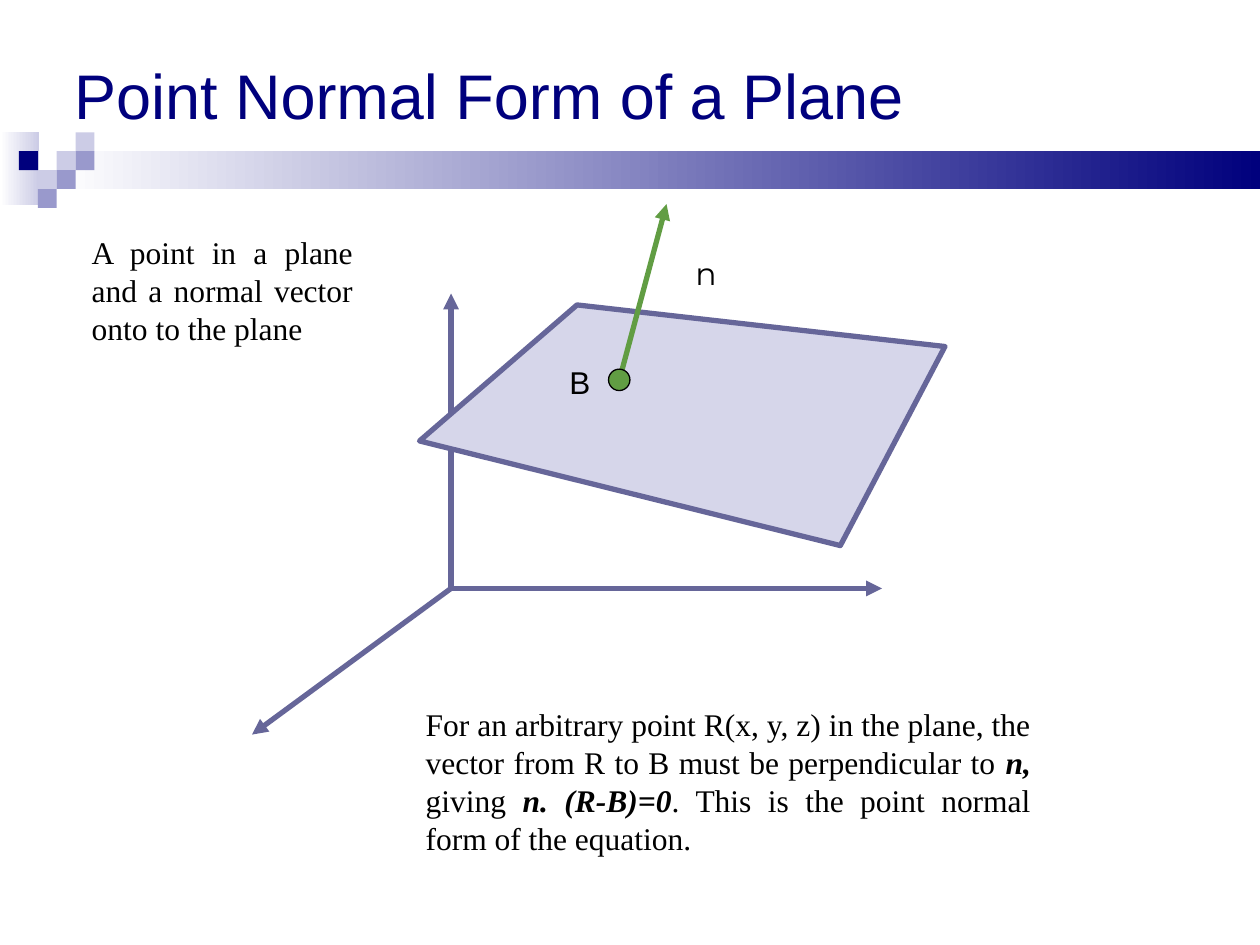
from lxml import etree
from pptx import Presentation
from pptx.dml.color import RGBColor
from pptx.enum import shapes, text
from pptx.oxml import ns
from pptx.util import Inches, Pt

NAVY = RGBColor(0x00, 0x00, 0x7D)
LILAC = RGBColor(0x99, 0x99, 0xCC)
PALE = RGBColor(0xCC, 0xCC, 0xE6)
WHITE = RGBColor(0xFF, 0xFF, 0xFF)
BLACK = RGBColor(0x00, 0x00, 0x00)
SLATE = RGBColor(0x66, 0x66, 0x99)
MIST = RGBColor(0xD6, 0xD6, 0xEA)
GREEN = RGBColor(0x61, 0x9D, 0x43)

SERIF = "Times New Roman"
LEFT, JUST = text.PP_ALIGN.LEFT, text.PP_ALIGN.JUSTIFY
TOP, MIDDLE = text.MSO_ANCHOR.TOP, text.MSO_ANCHOR.MIDDLE

# Fading bands: box, end colour
BANDS = [((0, 1.05, 0.31, 0.58), PALE), ((0.45, 1.2, 9.55, 0.3), NAVY)]

# Mosaic squares: column, row, colour
SIDE, EDGE, HEAD = 0.15, 0.15, 1.05
TILES = [(2, 1, PALE), (3, 0, PALE), (3, 1, LILAC), (1, 2, PALE),
         (0, 1, NAVY), (2, 2, LILAC), (1, 3, LILAC)]

ORIGIN = (3.58, 4.67)
AXES = [(3.58, 2.33), (2, 5.83), (7, 4.67)]
PLANE = [(3.33, 3.5), (4.58, 2.42), (7.5, 2.75), (6.67, 4.33)]
NORMAL = ((4.92, 3), (5.29, 1.62))
POINT = (4.83, 2.93, 0.17, 0.17)

# Texts: box, runs as (words, strong), font, size, colour, alignment, anchor
TEXTS = [
    ((0.49, 0, 9, 1.5), [("Point Normal Form of a Plane", False)],
     "Arial", 36, NAVY, LEFT, MIDDLE),
    ((4.42, 2.83, 0.33, 0.4), [("B", False)], "Arial", 18, BLACK, LEFT, TOP),
    ((5.42, 1.97, 0.42, 0.4), [("n", False)],
     "Montserrat", 18, BLACK, LEFT, TOP),
    ((0.63, 1.8, 2.27, 1),
     [("A point in a plane and a normal vector onto to the plane", False)],
     SERIF, 18, BLACK, JUST, TOP),
    ((3.28, 5.55, 5, 1.3),
     [("For an arbitrary point R(x, y, z) in the plane, the vector from R "
       "to B must be perpendicular to ", False),
      ("n, ", True), ("giving", False), (" n. (R-B)=0", True),
      (". This is the point normal form of the equation.", False)],
     SERIF, 18, BLACK, JUST, TOP),
]


def add_shape(kind, box):
    shape = slide.shapes.add_shape(kind, *map(Inches, box))
    shape.shadow.inherit = False
    shape.line.fill.background()
    return shape


def paint(shape, fill, line=None, width=0):
    shape.fill.solid()
    shape.fill.fore_color.rgb = fill
    if line is not None:
        shape.line.color.rgb = line
        shape.line.width = Pt(width)


def add_band(box, end):
    fill = add_shape(shapes.MSO_SHAPE.RECTANGLE, box).fill
    fill.gradient()
    fill.gradient_angle = 0
    for stop, color in zip(fill.gradient_stops, (WHITE, end)):
        stop.color.rgb = color


def add_arrow(start, end, color):
    arrow = slide.shapes.add_connector(
        shapes.MSO_CONNECTOR.STRAIGHT, *map(Inches, start + end))
    arrow.line.color.rgb = color
    arrow.line.width = Pt(3)
    etree.SubElement(arrow.line._get_or_add_ln(), ns.qn("a:tailEnd"),
                     type="triangle")
    etree.SubElement(arrow._element.spPr, ns.qn("a:effectLst"))


def add_text(box, runs, font, size, color, align, anchor):
    frame = slide.shapes.add_textbox(*map(Inches, box)).text_frame
    frame.word_wrap = True
    frame.vertical_anchor = anchor
    para = frame.paragraphs[0]
    para.alignment = align
    for words, strong in runs:
        run = para.add_run()
        run.text = words
        run.font.name = font
        run.font.size = Pt(size)
        run.font.color.rgb = color
        run.font.bold = run.font.italic = strong


deck = Presentation()
deck.slide_width, deck.slide_height = Inches(10), Inches(7.5)
slide = deck.slides.add_slide(deck.slide_layouts[6])

for box, end in BANDS:
    add_band(box, end)
for col, row, color in TILES:
    box = (EDGE + col * SIDE, HEAD + row * SIDE, SIDE, SIDE)
    paint(add_shape(shapes.MSO_SHAPE.RECTANGLE, box), color)

for tip in AXES:
    add_arrow(ORIGIN, tip, SLATE)

corners = [(Inches(x), Inches(y)) for x, y in PLANE]
path = slide.shapes.build_freeform(*corners[0])
path.add_line_segments(corners[1:], close=True)
plane = path.convert_to_shape()
plane.shadow.inherit = False
paint(plane, MIST, SLATE, 3)

add_arrow(*NORMAL, GREEN)
paint(add_shape(shapes.MSO_SHAPE.OVAL, POINT), GREEN, BLACK, 0.75)

for item in TEXTS:
    add_text(*item)

deck.save("out.pptx")
